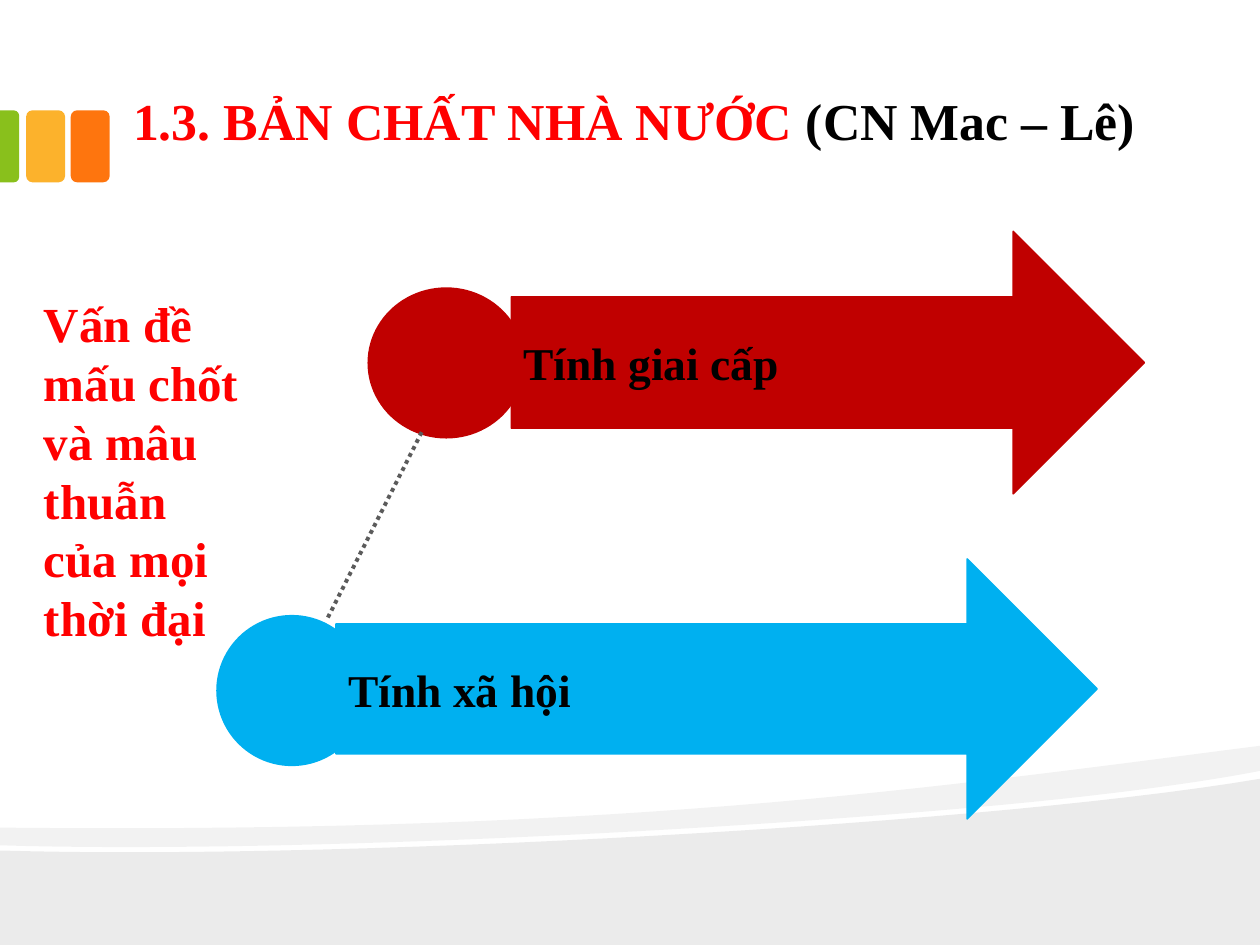
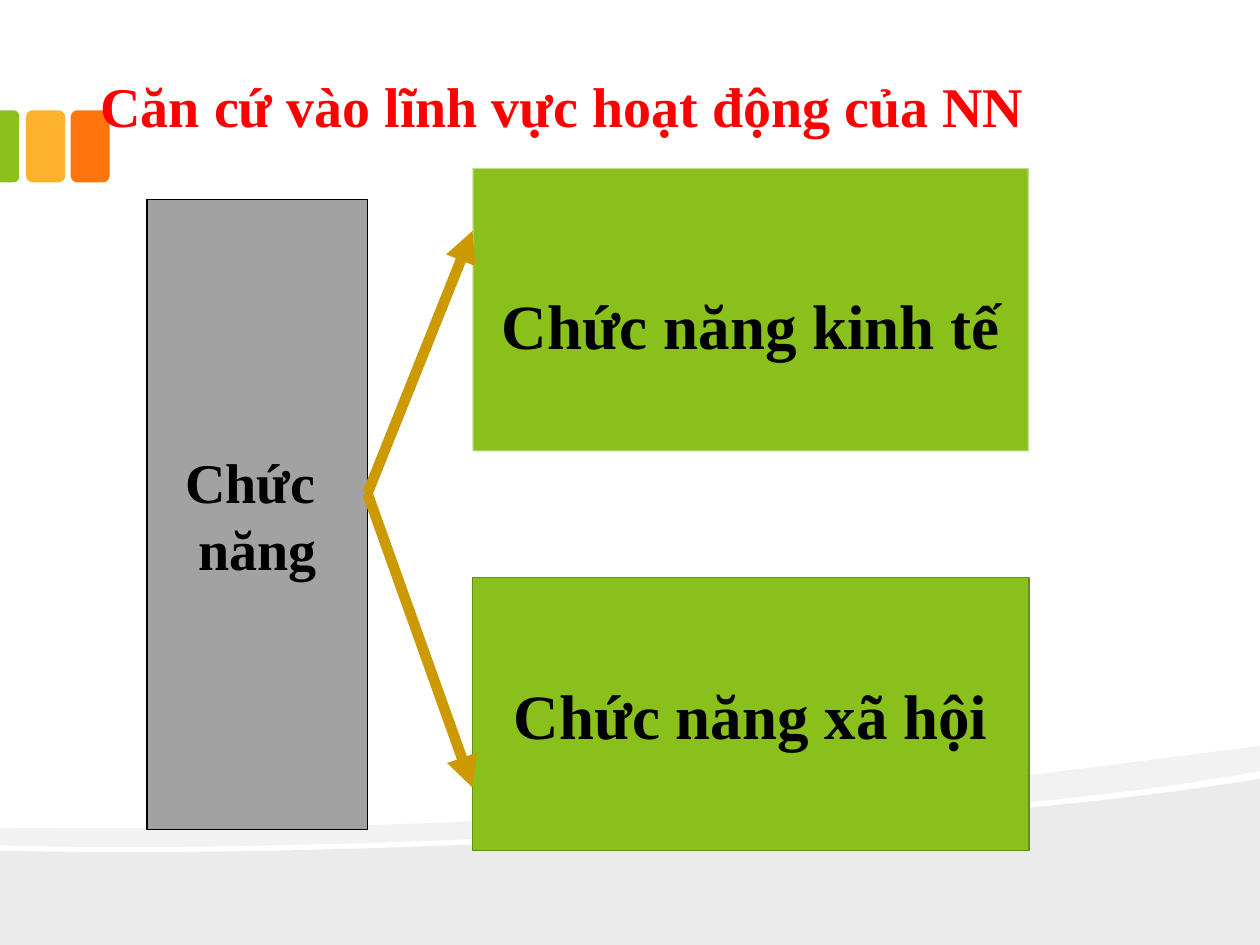
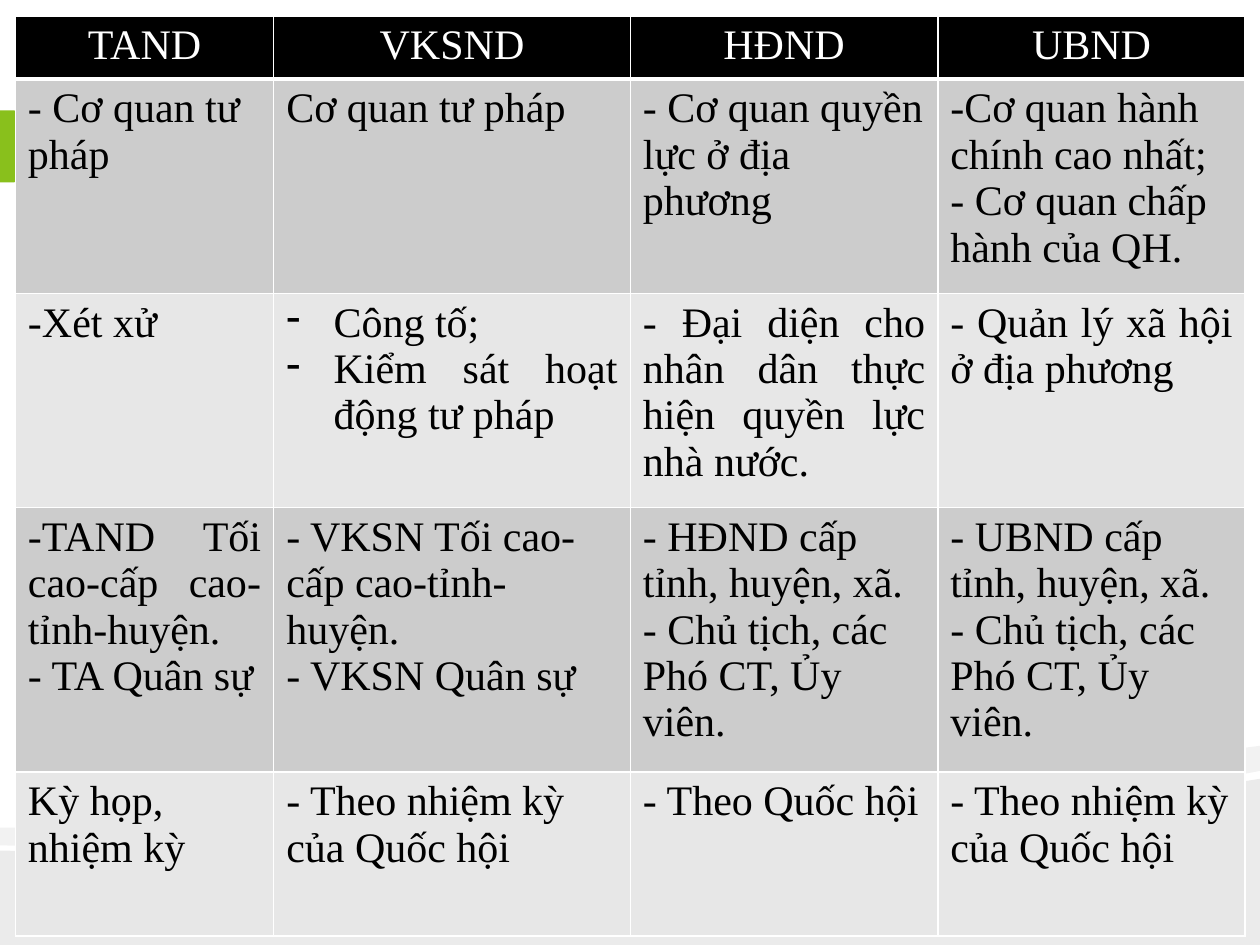
from dataclasses import dataclass
from typing import Optional

from lxml import etree
from pptx import Presentation
from pptx import util as u
from pptx.dml.color import RGBColor
from pptx.enum import dml, shapes, text
from pptx.oxml.ns import qn

FONT = "Times New Roman"
BLACK, WHITE, RED = "000000", "FFFFFF", "FF0000"
GREEN, YELLOW, ORANGE = "89C01C", "FCB22C", "FE750E"
CRIMSON, SKY, GREY, GOLD = "C00000", "00B0F0", "A2A2A2", "CC9900"
KIND = shapes.MSO_SHAPE
ALIGN = text.PP_ALIGN
ANCHOR = text.MSO_ANCHOR


@dataclass
class Box:
    left: float
    top: float
    width: float
    height: float

    def lengths(self) -> list:
        return [u.Pt(v) for v in (self.left, self.top, self.width, self.height)]


@dataclass
class Style:
    size: float
    color: str = BLACK
    bold: bool = True
    align: ALIGN = ALIGN.LEFT


@dataclass
class Stroke:
    color: str
    width: float
    alpha: Optional[int] = None
    dash: Optional[dml.MSO_LINE] = None
    arrow: bool = False


@dataclass
class Aspect:
    """One aspect of the state: a circle followed by an arrow."""
    label: str
    color: str
    circle: Box
    arrow: Box


@dataclass
class Function:
    label: str
    box: Box
    stroke: Stroke
    tip_y: float
    top_inset: float = 3.6


def paint(fill, color: str, alpha: Optional[int] = None) -> None:
    fill.solid()
    fill.fore_color.rgb = RGBColor.from_string(color)
    if alpha is not None:
        for clr in fill._xPr.iter(qn("a:srgbClr")):
            etree.SubElement(clr, qn("a:alpha"), val=str(alpha * 1000))


def draw_line(line, stroke: Optional[Stroke]) -> None:
    if stroke is None:
        line.fill.background()
        return
    line.width = u.Pt(stroke.width)
    paint(line.fill, stroke.color, stroke.alpha)
    if stroke.dash:
        line.dash_style = stroke.dash


def add_block(s, kind: KIND, box: Box, color: str, stroke: Optional[Stroke] = None):
    sp = s.shapes.add_shape(kind, *box.lengths())
    sp.shadow.inherit = False
    paint(sp.fill, color)
    draw_line(sp.line, stroke)
    return sp


def add_line(s, start: tuple, end: tuple, stroke: Stroke) -> None:
    cx = s.shapes.add_connector(shapes.MSO_CONNECTOR.STRAIGHT,
                                *(u.Pt(v) for v in start + end))
    draw_line(cx.line, stroke)
    if stroke.arrow:
        etree.SubElement(cx.line._get_or_add_ln(), qn("a:tailEnd"), type="triangle")
    etree.SubElement(cx._element.spPr, qn("a:effectLst"))


def format_run(r, style: Style) -> None:
    r.font.name = FONT
    r.font.size = u.Pt(style.size)
    r.font.bold = style.bold
    r.font.color.rgb = RGBColor.from_string(style.color)


def write(tf, words: str, style: Style) -> None:
    tf.text = words
    for p in tf.paragraphs:
        p.alignment = style.align
        for r in p.runs:
            format_run(r, style)


def add_text(s, box: Box, words: str, style: Style):
    tf = s.shapes.add_textbox(*box.lengths()).text_frame
    tf.word_wrap = True
    write(tf, words, style)
    return tf


def curve(p0: tuple, p1: tuple, p2: tuple, p3: tuple, steps: int = 30) -> list:
    """Points along a cubic Bezier curve, without its start."""
    points = []
    for i in range(1, steps + 1):
        t = i / steps
        weights = ((1 - t) ** 3, 3 * t * (1 - t) ** 2, 3 * t * t * (1 - t), t ** 3)
        points.append(tuple(sum(w * c for w, c in zip(weights, axis))
                            for axis in zip(p0, p1, p2, p3)))
    return points


def add_band(s, points: list, alpha: int) -> None:
    emu = [(u.Pt(x), u.Pt(y)) for x, y in points]
    builder = s.shapes.build_freeform(*emu[0])
    builder.add_line_segments(emu[1:], close=True)
    sp = builder.convert_to_shape()
    sp.shadow.inherit = False
    paint(sp.fill, BLACK, alpha)
    sp.line.fill.background()


def new_slide(prs):
    """Blank slide with the grey waves and the three coloured tabs."""
    s = prs.slides.add_slide(prs.slide_layouts[6])
    ground = [(720, 540), (0, 540), (0, 486)]
    add_band(s, ground + curve((0, 486), (190, 491.8), (563, 471.6), (720, 445)), 8)
    crest = [(720, 426.2), (720, 440.6)]
    crest += curve(crest[-1], (678.2, 448.6), (620.6, 455.8), (555.8, 461.5))
    crest += curve(crest[-1], (376.6, 477.4), (139, 487.4), (0, 483.1))
    crest.append((0, 473))
    crest += curve(crest[-1], (352, 476.6), (524.2, 451.4), (720, 426.2))
    add_band(s, crest, 5)
    for left, color in ((40.4, ORANGE), (14.9, YELLOW)):
        add_block(s, KIND.ROUNDED_RECTANGLE, Box(left, 63, 22.3, 41.2), color)
    tab = add_block(s, KIND.ROUND_2_SAME_RECTANGLE, Box(-15.1, 78.2, 41.2, 10.9), GREEN)
    tab.rotation = 90
    tab.adjustments[0] = 0.29
    tab.adjustments[1] = 0
    return s


def nature_slide(prs) -> None:
    s = new_slide(prs)
    tf = add_text(s, Box(69, 36, 615, 57), "1.3. BẢN CHẤT NHÀ NƯỚC", Style(29.6, RED, align=ALIGN.JUSTIFY))
    tf.margin_top = u.Pt(7.6)
    p = tf.paragraphs[0]
    p.line_spacing = 1.2
    r = p.add_run()
    r.text = " (CN Mac – Lê)"
    format_run(r, Style(29.6))

    aspects = [
        Aspect("Tính giai cấp", CRIMSON, Box(210, 164.2, 90, 86.4), Box(292.2, 132.2, 361.8, 150)),
        Aspect("Tính xã hội", SKY, Box(123.6, 351.4, 86.4, 86.4), Box(192, 319.4, 435, 148.6)),
    ]
    for aspect in aspects:
        add_block(s, KIND.OVAL, aspect.circle, aspect.color)
    add_line(s, (241, 247), (187.2, 353.2), Stroke("5B5B5B", 2.25, dash=dml.MSO_LINE.ROUND_DOT))
    for aspect in aspects:
        sp = add_block(s, KIND.RIGHT_ARROW, aspect.arrow, aspect.color, Stroke(aspect.color, 0.85))
        sp.text_frame.vertical_anchor = ANCHOR.MIDDLE
        write(sp.text_frame, aspect.label, Style(26, align=ALIGN.JUSTIFY))
    add_text(s, Box(18, 164.2, 126, 211), "Vấn đề mấu chốt và mâu thuẫn của mọi thời đại", Style(28, RED))


def functions_slide(prs) -> None:
    s = new_slide(prs)
    tf = add_text(s, Box(48, 24, 660, 60), "Căn cứ vào lĩnh vực hoạt động của NN", Style(32, RED))
    tf.vertical_anchor = ANCHOR.BOTTOM
    tf.margin_left = tf.margin_right = u.Pt(9.4)
    tf.margin_top = tf.margin_bottom = u.Pt(5)

    def add_label_box(box: Box, color: str, stroke: Stroke, words: str, size: float):
        sp = add_block(s, KIND.RECTANGLE, box, color, stroke)
        sp.text_frame.word_wrap = False
        sp.text_frame.vertical_anchor = ANCHOR.MIDDLE
        write(sp.text_frame, words, Style(size, align=ALIGN.CENTER))
        return sp.text_frame

    add_label_box(Box(84, 114, 126, 360), GREY, Stroke(BLACK, 0.75), "Chức \nnăng", 32)
    functions = [
        Function("Chức năng kinh tế", Box(270, 96, 318, 162), Stroke("F9F9F9", 1.35, alpha=50), 132, 20),
        Function("Chức năng xã hội", Box(270, 330, 318, 156), Stroke("658E15", 0.85), 450),
    ]
    for f in functions:
        add_label_box(f.box, GREEN, f.stroke, f.label, 36).margin_top = u.Pt(f.top_inset)
    for f in functions:
        add_line(s, (210, 282), (f.box.left, f.tip_y), Stroke(GOLD, 6, arrow=True))


COLUMNS = [147.6, 203.8, 175.7, 175.7]
ROWS = [36, 122.4, 122.4, 151.2, 93.6]
AGENCIES = [
    ["TAND", "VKSND", "HĐND", "UBND"],
    ["- Cơ quan tư pháp", "Cơ quan tư pháp", "- Cơ quan quyền lực ở địa phương",
     "-Cơ quan hành chính cao nhất;\n- Cơ quan chấp hành của QH."],
    ["-Xét xử", "Công tố;\nKiểm sát hoạt động tư pháp",
     "- Đại diện cho nhân dân thực hiện quyền lực nhà nước.", "- Quản lý xã hội ở địa phương"],
    ["-TAND Tối cao-cấp cao-tỉnh-huyện.\n- TA Quân sự",
     "- VKSN Tối cao-cấp cao-tỉnh-huyện.\n- VKSN Quân sự",
     "- HĐND cấp tỉnh, huyện, xã.\n- Chủ tịch, các Phó CT, Ủy viên.",
     "- UBND cấp tỉnh, huyện, xã.\n- Chủ tịch, các Phó CT, Ủy viên."],
    ["Kỳ họp, nhiệm kỳ", "- Theo nhiệm kỳ của Quốc hội", "- Theo Quốc hội",
     "- Theo nhiệm kỳ của Quốc hội"],
]
DUTIES_ROW = 2
BULLETED = (DUTIES_ROW, 1)
JUSTIFIED = {(DUTIES_ROW, col) for col in range(4)} | {(3, 0)}


def add_borders(cell, bottom: float) -> None:
    tc_pr = cell._tc.get_or_add_tcPr()
    for side, width in (("L", 1), ("R", 1), ("T", 1), ("B", bottom)):
        ln = etree.SubElement(tc_pr, qn(f"a:ln{side}"), w=str(u.Pt(width)))
        fill = etree.SubElement(ln, qn("a:solidFill"))
        etree.SubElement(fill, qn("a:srgbClr"), val=WHITE)


def add_dash_bullet(p) -> None:
    p_pr = p._p.get_or_add_pPr()
    p_pr.set("marL", str(u.Pt(27)))
    p_pr.set("indent", str(-u.Pt(27)))
    etree.SubElement(p_pr, qn("a:buChar"), char="-")


def agencies_slide(prs) -> None:
    s = new_slide(prs)
    box = Box(8.8, 9.2, sum(COLUMNS), sum(ROWS))
    table = s.shapes.add_table(len(ROWS), len(COLUMNS), *box.lengths()).table
    for column, width in zip(table.columns, COLUMNS):
        column.width = u.Pt(width)
    for row, height in zip(table.rows, ROWS):
        row.height = u.Pt(height)
    for i, words in enumerate(AGENCIES):
        header = i == 0
        color = BLACK if header else "CCCCCC" if i % 2 else "E7E7E7"
        for j, entry in enumerate(words):
            cell = table.cell(i, j)
            add_borders(cell, 3 if header else 1)
            paint(cell.fill, color)
            align = ALIGN.CENTER if header else ALIGN.JUSTIFY if (i, j) in JUSTIFIED else ALIGN.LEFT
            write(cell.text_frame, entry, Style(24, WHITE if header else BLACK, False, align))
            if (i, j) == BULLETED:
                for p in cell.text_frame.paragraphs:
                    add_dash_bullet(p)


def main() -> None:
    prs = Presentation()
    prs.slide_width, prs.slide_height = u.Pt(720), u.Pt(540)
    nature_slide(prs)
    functions_slide(prs)
    agencies_slide(prs)
    prs.save("out.pptx")


if __name__ == "__main__":
    main()
